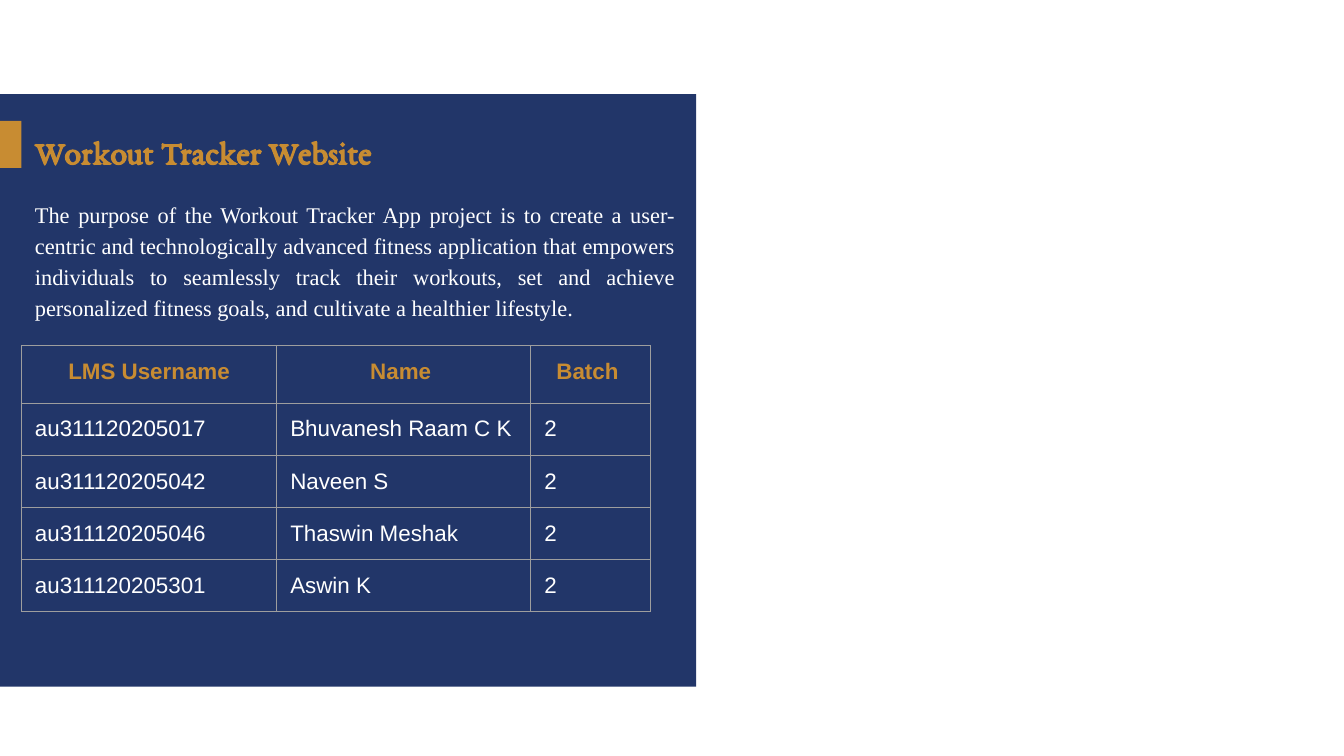
from lxml import etree
from pptx import Presentation
from pptx.dml.color import RGBColor
from pptx.enum.shapes import MSO_SHAPE
from pptx.enum.text import MSO_ANCHOR, MSO_AUTO_SIZE, PP_ALIGN
from pptx.oxml.ns import qn
from pptx.util import Inches, Pt

RECTANGLE = MSO_SHAPE.RECTANGLE
LEFT, CENTER, JUSTIFY = PP_ALIGN.LEFT, PP_ALIGN.CENTER, PP_ALIGN.JUSTIFY
TOP, MIDDLE = MSO_ANCHOR.TOP, MSO_ANCHOR.MIDDLE
NO_AUTOFIT = MSO_AUTO_SIZE.NONE
NAVY, GOLD, WHITE, GRAY = "223669", "C88C32", "FFFFFF", "9E9E9E"


def color(value):
    return RGBColor.from_string(value)


def write_text(frame, text, font="Arial", size=12, fill=WHITE, bold=False,
               align=LEFT, spacing=1.0):
    paragraph = frame.paragraphs[0]
    paragraph.alignment = align
    paragraph.line_spacing = spacing
    paragraph.space_before = Pt(0)
    run = paragraph.add_run()
    run.text = text
    run.font.name = font
    run.font.size = Pt(size)
    run.font.bold = bold
    run.font.color.rgb = color(fill)
    return paragraph


presentation = Presentation()
presentation.slide_width = Inches(10)
presentation.slide_height = Inches(10 * 9 / 16)
slide = presentation.slides.add_slide(presentation.slide_layouts[1])
title, body = slide.placeholders

panels = [(0.7, 5.18, 4.41, NAVY), (0.9, 0.16, 0.35, GOLD)]
for position, (top, width, height, fill) in enumerate(panels, start=2):
    panel = slide.shapes.add_shape(
        RECTANGLE, 0, Inches(top), Inches(width), Inches(height))
    panel.shadow.inherit = False
    panel.fill.solid()
    panel.fill.fore_color.rgb = color(fill)
    panel.line.fill.background()
    slide.shapes._spTree.insert(position, panel._element)

for placeholder, top, width, height, anchor in [
        (title, 0.89, 3.74, 0.38, MIDDLE), (body, 1.42, 4.97, 0.98, TOP)]:
    placeholder.left, placeholder.top = Inches(0.16), Inches(top)
    placeholder.width, placeholder.height = Inches(width), Inches(height)
    frame = placeholder.text_frame
    frame.word_wrap = True
    frame.auto_size = NO_AUTOFIT
    frame.vertical_anchor = anchor
    frame.margin_left = frame.margin_right = Inches(0.1)
    frame.margin_top = frame.margin_bottom = Inches(0.05)

write_text(title.text_frame, "Workout Tracker Website", font="EB Garamond",
           size=18, fill=GOLD, bold=True, spacing=1.29)
purpose = write_text(
    body.text_frame,
    "The purpose of the Workout Tracker App project is to create a "
    "user-centric and technologically advanced fitness application that "
    "empowers individuals to seamlessly track their workouts, set and achieve "
    "personalized fitness goals, and cultivate a healthier lifestyle. ",
    font="Times New Roman", align=JUSTIFY, spacing=1.15)
properties = purpose._p.get_or_add_pPr()
properties.set("marL", "0")
properties.set("indent", "0")
etree.SubElement(properties, qn("a:buNone"))

members = [
    ("LMS Username", "Name ", "Batch "),
    ("au311120205017", "Bhuvanesh Raam C K", "2"),
    ("au311120205042", "Naveen S", "2"),
    ("au311120205046", "Thaswin Meshak", "2"),
    ("au311120205301", "Aswin K", "2"),
]
column_widths = [1.9, 1.89, 0.89]
row_heights = [0.43] + [0.38] * (len(members) - 1)
table = slide.shapes.add_table(
    len(members), len(column_widths), Inches(0.16), Inches(2.57),
    Inches(sum(column_widths)), Inches(sum(row_heights))).table
table.first_row = False
table.horz_banding = False
for column, width in zip(table.columns, column_widths):
    column.width = Inches(width)

for row_index, (values, height) in enumerate(zip(members, row_heights)):
    table.rows[row_index].height = Inches(height)
    header = row_index == 0
    for column_index, value in enumerate(values):
        cell = table.cell(row_index, column_index)
        cell.margin_left = cell.margin_right = Inches(0.1)
        cell.margin_top = cell.margin_bottom = Inches(0.1)
        cell.vertical_anchor = TOP
        write_text(cell.text_frame, value, fill=GOLD if header else WHITE,
                   bold=header, align=CENTER if header else LEFT)
        cell_properties = cell._tc.get_or_add_tcPr()
        for side in ("a:lnL", "a:lnR", "a:lnT", "a:lnB"):
            border = etree.SubElement(cell_properties, qn(side), w=str(Pt(0.75)))
            border_fill = etree.SubElement(border, qn("a:solidFill"))
            etree.SubElement(border_fill, qn("a:srgbClr"), val=GRAY)
        cell.fill.background()

presentation.save("out.pptx")
